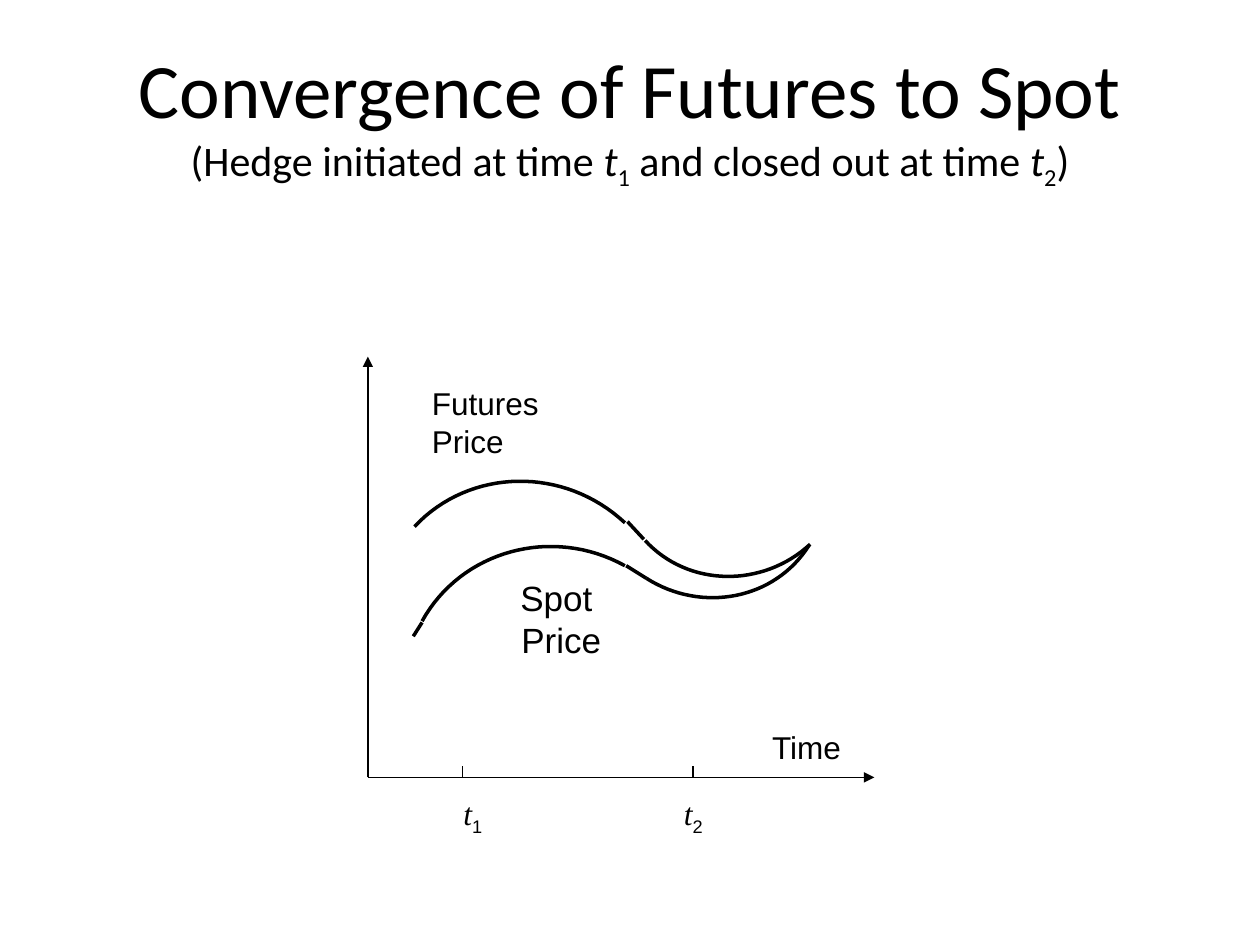
from lxml import etree
from pptx import Presentation
from pptx.dml.color import RGBColor
from pptx.enum.shapes import MSO_CONNECTOR
from pptx.enum.text import MSO_ANCHOR, PP_ALIGN
from pptx.oxml.ns import qn
from pptx.util import Inches, Pt

COLORS = {"ink": "000000"}
INK = RGBColor.from_string(COLORS["ink"])
AXIS_X, AXIS_Y = 2.92, 6.17

prs = Presentation()
prs.slide_width, prs.slide_height = Inches(10), Inches(7.5)
s = prs.slides.add_slide(prs.slide_layouts[6])


def add_text(box, paragraphs, size, font="Arial", align=PP_ALIGN.LEFT, wrap=True):
    tf = s.shapes.add_textbox(*[Inches(v) for v in box]).text_frame
    tf.word_wrap = wrap
    for i, runs in enumerate(paragraphs):
        p = tf.paragraphs[0] if i == 0 else tf.add_paragraph()
        p.alignment = align
        p.font.name, p.font.size, p.font.color.rgb = font, Pt(size), INK
        for text, style in runs:
            r = p.add_run()
            r.text = text
            if style == "italic":
                r.font.italic = True
            elif style == "sub":
                r.font._element.set("baseline", "-25000")
    return tf


def add_line(x1, y1, x2, y2, width, arrow=False):
    line = s.shapes.add_connector(MSO_CONNECTOR.STRAIGHT, *[Inches(v) for v in (x1, y1, x2, y2)])
    line.line.color.rgb, line.line.width = INK, Pt(width)
    if arrow:
        etree.SubElement(line.line._get_or_add_ln(), qn("a:tailEnd"), type="triangle")
    etree.SubElement(line._element.spPr, qn("a:effectLst"))


subtitle = [("(Hedge initiated at time ", ""), ("t", "italic"), ("1", "sub"),
            (" and closed out at time ", ""), ("t", "italic"), ("2", "sub"), (")", "")]
tf = add_text((0.5, 0.3, 9, 1.25), [[("Convergence of Futures to Spot", "")], subtitle],
              24, "Calibri", PP_ALIGN.CENTER)
tf.vertical_anchor = MSO_ANCHOR.MIDDLE
tf.paragraphs[0].font.size = Pt(44)

add_line(AXIS_X, AXIS_Y, AXIS_X, 2.83, 1, arrow=True)
add_line(AXIS_X, AXIS_Y, 6.94, AXIS_Y, 1, arrow=True)

price_curves = [
    ((3.29, 4.18), (3.73, 3.71), (4.48, 3.7), (4.96, 4.15)),
    ((6.43, 4.32), (6.05, 4.67), (5.46, 4.66), (5.12, 4.29)),
    ((3.35, 4.93), (3.66, 4.37), (4.38, 4.17), (4.96, 4.49)),
    ((6.42, 4.33), (6.15, 4.76), (5.57, 4.87), (5.13, 4.59)),
]
STEPS = 32
for curve in price_curves:
    points = []
    for i in range(STEPS + 1):
        t = i / STEPS
        weights = ((1 - t) ** 3, 3 * t * (1 - t) ** 2, 3 * t ** 2 * (1 - t), t ** 3)
        points.append([Inches(sum(w * c[axis] for w, c in zip(weights, curve))) for axis in (0, 1)])
    builder = s.shapes.build_freeform(*points[0])
    builder.add_line_segments(points[1:], close=False)
    sp = builder.convert_to_shape()
    sp.shadow.inherit = False
    sp.fill.background()
    sp.line.color.rgb, sp.line.width = INK, Pt(2)

for joint in [(4.98, 4.14, 5.11, 4.28), (4.97, 4.49, 5.13, 4.59), (3.35, 4.94, 3.28, 5.05)]:
    add_line(*joint, 2)

add_text((6.03, 5.73, 0.75, 0.4), [[("Time", "")]], 18, wrap=False)
add_text((3.83, 4.53, 1.25, 0.76), [[("Spot ", "")], [("Price", "")]], 20, align=PP_ALIGN.CENTER)
add_text((3.33, 3, 3.6, 0.7), [[("Futures", "")], [("Price", "")]], 18)

for index, tick_x, label_x in [("1", 3.67, 3.58), ("2", 5.5, 5.33)]:
    add_line(tick_x, AXIS_Y, tick_x, 6.08, 1)
    tf = add_text((label_x, 6.25, 0.42, 0.44), [[("t", "italic"), (index, "sub")]], 18)
    tf.paragraphs[0].runs[0].font.name = "Times New Roman"

prs.save("out.pptx")
